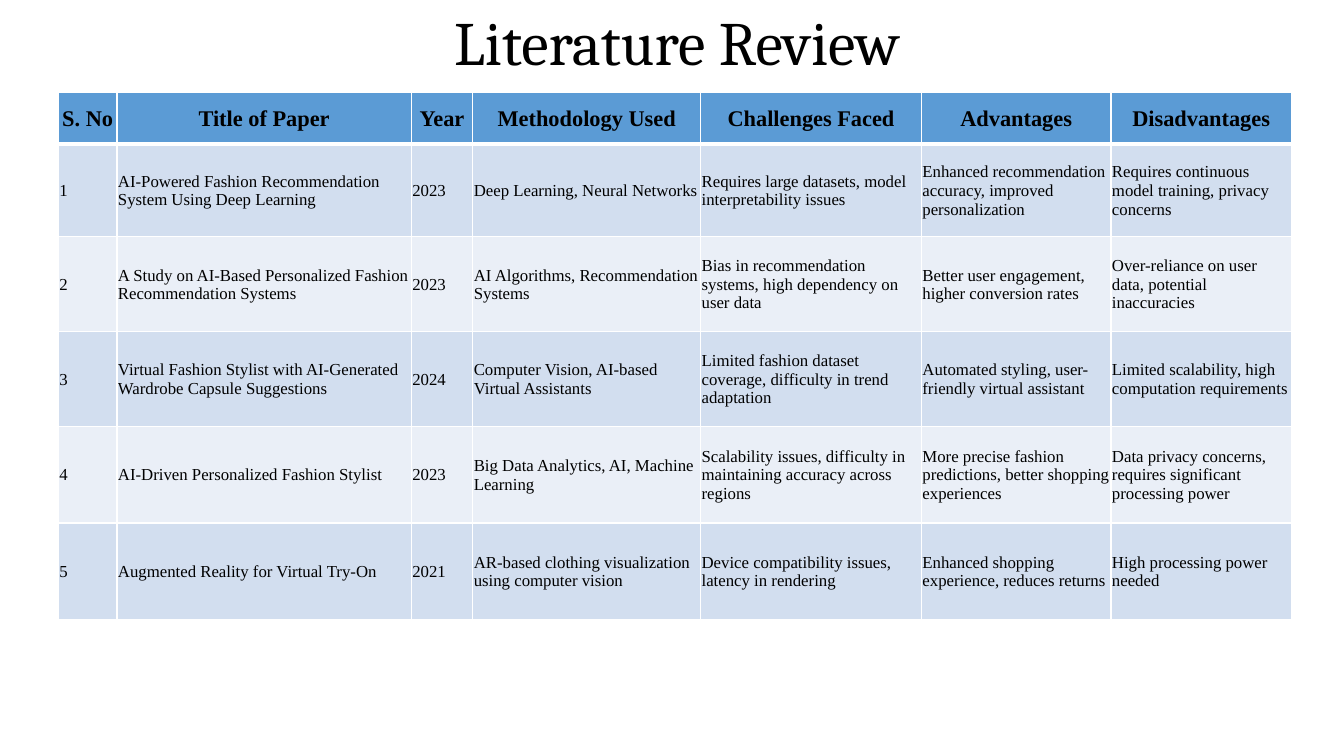
from lxml import etree
from pptx import Presentation
from pptx.dml.color import RGBColor
from pptx.enum.text import MSO_ANCHOR, MSO_AUTO_SIZE, PP_ALIGN
from pptx.oxml.ns import qn
from pptx.util import Inches, Pt

MIDDLE = MSO_ANCHOR.MIDDLE
NO_AUTOFIT = MSO_AUTO_SIZE.NONE
LEFT, CENTER = PP_ALIGN.LEFT, PP_ALIGN.CENTER

TITLE_FONT = {"name": "Cambria", "size": Pt(44), "bold": False}
HEADER_FONT = {"name": "Times New Roman", "size": Pt(16), "bold": True}
BODY_FONT = {"name": "Times New Roman", "size": Pt(12), "bold": False}
CELL_FORMAT = {
    "vertical_anchor": MIDDLE,
    "margin_left": Inches(0.01),
    "margin_top": Inches(0.01),
    "margin_right": Inches(0.01),
    "margin_bottom": 0,
}
HEADER_FILL = "5B9BD5"
BAND_FILLS = ["EAEFF7", "D2DEEF"]
COLUMN_WIDTHS = [0.58, 2.92, 0.61, 2.26, 2.19, 1.88, 1.79]
ROW_HEIGHTS = [0.51, 0.92, 0.94, 0.94, 0.96, 0.96]

PAPERS = [
    ["S. No", "Title of Paper", "Year", "Methodology Used", "Challenges Faced",
     "Advantages", "Disadvantages"],
    ["1", "AI-Powered Fashion Recommendation System Using Deep Learning", "2023",
     "Deep Learning, Neural Networks",
     "Requires large datasets, model interpretability issues",
     "Enhanced recommendation accuracy, improved personalization",
     "Requires continuous model training, privacy concerns"],
    ["2", "A Study on AI-Based Personalized Fashion Recommendation Systems", "2023",
     "AI Algorithms, Recommendation Systems",
     "Bias in recommendation systems, high dependency on user data",
     "Better user engagement, higher conversion rates",
     "Over-reliance on user data, potential inaccuracies"],
    ["3", "Virtual Fashion Stylist with AI-Generated Wardrobe Capsule Suggestions", "2024",
     "Computer Vision, AI-based Virtual Assistants",
     "Limited fashion dataset coverage, difficulty in trend adaptation",
     "Automated styling, user-friendly virtual assistant",
     "Limited scalability, high computation requirements"],
    ["4", "AI-Driven Personalized Fashion Stylist", "2023",
     "Big Data Analytics, AI, Machine Learning",
     "Scalability issues, difficulty in maintaining accuracy across regions",
     "More precise fashion predictions, better shopping experiences",
     "Data privacy concerns, requires significant processing power"],
    ["5", "Augmented Reality for Virtual Try-On", "2021",
     "AR-based clothing visualization using computer vision",
     "Device compatibility issues, latency in rendering",
     "Enhanced shopping experience, reduces returns",
     "High processing power needed"],
]


def write_text(frame, text, font_format, alignment):
    para = frame.paragraphs[0]
    para.alignment = alignment
    span = para.add_run()
    span.text = text
    for name, value in font_format.items():
        setattr(span.font, name, value)
    span.font.color.rgb = RGBColor.from_string("000000")
    return para


def add_borders(cell, widths, color):
    properties = cell._tc.get_or_add_tcPr()
    for position, (side, width) in enumerate(widths.items()):
        line = etree.Element(qn(f"a:ln{side}"), w=str(Pt(width)))
        fill = etree.SubElement(line, qn("a:solidFill"))
        etree.SubElement(fill, qn("a:srgbClr"), val=color)
        properties.insert(position, line)


deck = Presentation()
deck.slide_width = Inches(13.33)
deck.slide_height = Inches(7.5)
page = deck.slides.add_slide(deck.slide_layouts.get_by_name("Title Only"))

title = page.shapes.title
title.left, title.top = Inches(0.88), Inches(0.19)
title.width, title.height = Inches(11.67), Inches(0.53)
title.text_frame.auto_size = NO_AUTOFIT
title.text_frame.vertical_anchor = MIDDLE
heading = write_text(title.text_frame, "Literature Review", TITLE_FONT, CENTER)
heading.line_spacing = 0.9

table = page.shapes.add_table(
    len(ROW_HEIGHTS), len(COLUMN_WIDTHS), Inches(0.58), Inches(0.92),
    Inches(sum(COLUMN_WIDTHS)), Inches(sum(ROW_HEIGHTS))).table
for column, width in zip(table.columns, COLUMN_WIDTHS):
    column.width = Inches(width)
for row, height in zip(table.rows, ROW_HEIGHTS):
    row.height = Inches(height)

for row_number, paper in enumerate(PAPERS):
    is_header = row_number == 0
    fill_color = HEADER_FILL if is_header else BAND_FILLS[row_number % 2]
    font_format = HEADER_FONT if is_header else BODY_FONT
    alignment = CENTER if is_header else LEFT
    borders = {"L": 1, "R": 1, "T": 3 if row_number == 1 else 1, "B": 3 if is_header else 1}
    for column_number, text in enumerate(paper):
        cell = table.cell(row_number, column_number)
        for name, value in CELL_FORMAT.items():
            setattr(cell, name, value)
        cell.fill.solid()
        cell.fill.fore_color.rgb = RGBColor.from_string(fill_color)
        write_text(cell.text_frame, text, font_format, alignment)
        add_borders(cell, borders, "FFFFFF")

deck.save("out.pptx")
